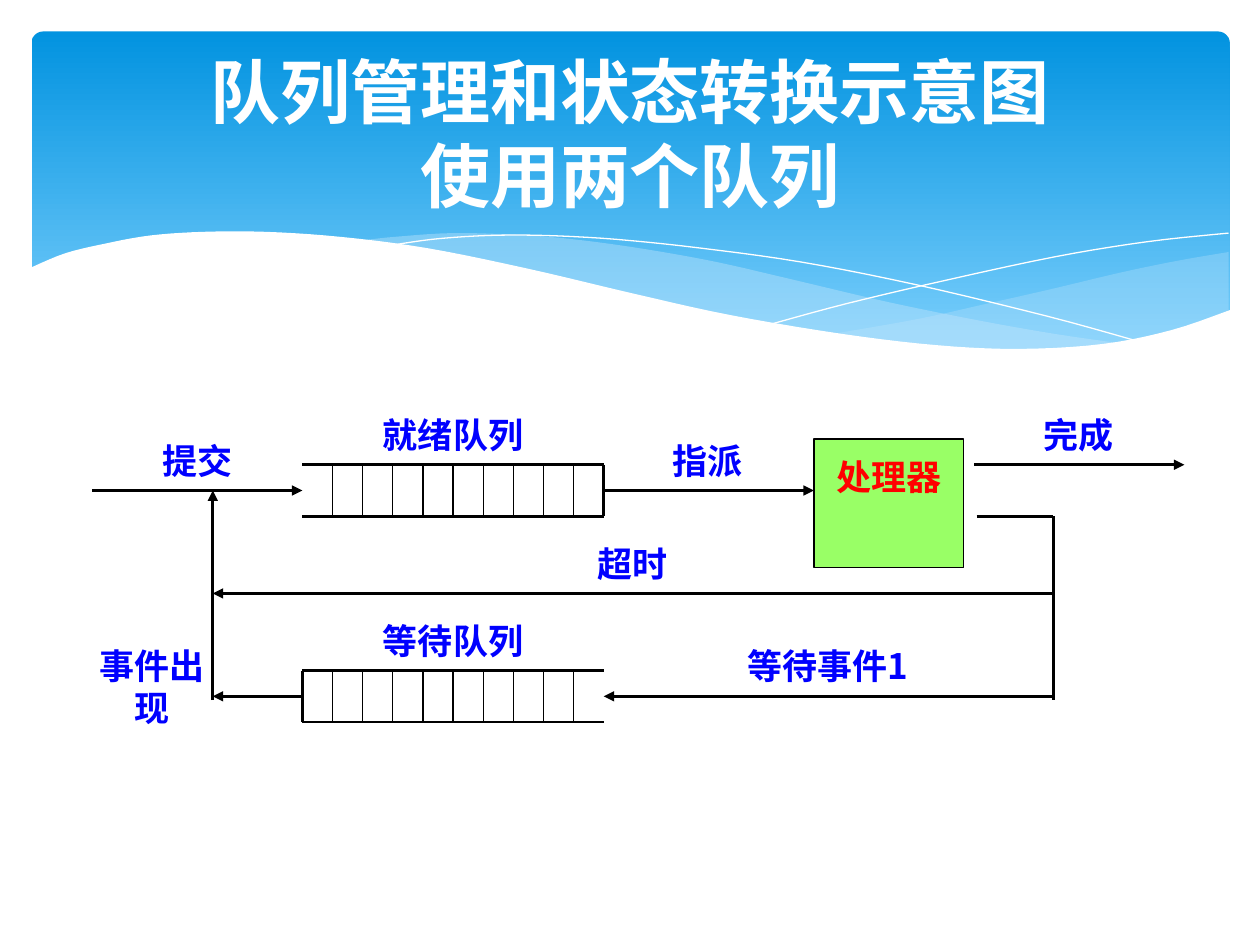
from pptx import Presentation
from pptx.dml.color import RGBColor
from pptx.enum.shapes import MSO_CONNECTOR, MSO_SHAPE
from pptx.enum.text import MSO_ANCHOR, PP_ALIGN
from pptx.oxml.ns import qn
from pptx.util import Pt
from lxml import etree

STRAIGHT = MSO_CONNECTOR.STRAIGHT
RECTANGLE, ROUNDED = MSO_SHAPE.RECTANGLE, MSO_SHAPE.ROUNDED_RECTANGLE
CENTER, MIDDLE, TOP = PP_ALIGN.CENTER, MSO_ANCHOR.MIDDLE, MSO_ANCHOR.TOP
COLORS = {
    "sky_top": "0293E0", "sky_bottom": "83D3FE", "mist": "C6E7FC",
    "white": "FFFFFF", "black": "000000", "label": "0000FF",
    "processor": "99FF66", "processor_text": "FF0000",
}
LABEL_FONT, TITLE_FONT = "Noto Sans CJK JP", "Calibri"
ROW = 14.7
CELLS = 10

RIGHT_MIST = [
    [(684, 126), (655, 131), (623.5, 137.5), (581, 147.6), (543, 156.2), (507, 164.2), (458, 172.8)],
    [(458, 172.8), (489.6, 177.1), (527, 180.7), (560, 182.2), (597, 180.7), (628, 176.4),
     (655, 170.6), (684, 159.8)],
]
CENTER_MIST = [
    [(625, 178.6), (584.6, 172.8), (540, 164.9), (490.3, 154.8), (435, 141.8), (391.7, 131.8),
     (352, 124.6), (316, 119.5), (284.4, 116.6), (242, 115.2), (207.4, 117.4), (188, 119.5)],
    [(188, 119.5), (228, 125.3), (273, 133.9), (305.3, 141.8), (363.6, 154.8), (414.7, 165.6),
     (460.8, 173.5), (501.8, 179.3), (547, 182.2), (585.4, 182.2), (625, 178.6)],
]
LEFT_ARC = [[(204.5, 122.4), (229, 118.8), (260.6, 116.6), (293.8, 116.6), (334, 118.8),
             (382.3, 123.8), (440, 131.8), (505.4, 144.7), (580.3, 162.7), (635, 177.8)]]
RIGHT_ARC = [[(423.4, 167), (465.8, 155.5), (520.6, 142.6), (584, 128.9), (637, 120.2), (684, 115.2)]]
WHITE_WAVE = [
    [(685.4, 159), (651.6, 170.6), (612, 178.6), (564.5, 181.4), (517.7, 179.3), (463, 172.8),
     (399, 162), (344, 149.8), (283, 135.4), (226, 123.8), (177, 117.4), (134, 114.5),
     (98, 114.5), (67.7, 116.6), (43.2, 121), (19.4, 126.7), (-1.4, 135.4)],
    [(-1.4, 219), (685.4, 219)],
]


def color(name):
    """Return the named colour."""
    return RGBColor.from_string(COLORS[name])


def smooth(knots, steps=5):
    """Return points on a Catmull-Rom curve through the knots."""
    if len(knots) < 3:
        return knots
    padded = [knots[0], *knots, knots[-1]]
    points = [knots[0]]
    for a, b, c, d in zip(padded, padded[1:], padded[2:], padded[3:]):
        for step in range(1, steps + 1):
            t = step / steps
            points.append(tuple(
                (2 * q + (r - p) * t + (2 * p - 5 * q + 4 * r - s) * t**2
                 + (3 * q - p - 3 * r + s) * t**3) / 2
                for p, q, r, s in zip(a, b, c, d)))
    return points


def add_curve(page, box, curves, fill=None, opacity=100):
    """Draw joined curves as a filled area, or as a white hairline without a fill."""
    left, top = box[:2]
    points = [(Pt(left + x), Pt(top + y)) for knots in curves for x, y in smooth(knots)]
    builder = page.shapes.build_freeform(*points[0])
    builder.add_line_segments(points[1:], close=fill is not None)
    shape = builder.convert_to_shape()
    shape.shadow.inherit = False
    if fill is None:
        shape.fill.background()
        shape.line.color.rgb = color("white")
        shape.line.width = Pt(0)
        return
    shape.fill.solid()
    shape.fill.fore_color.rgb = color(fill)
    shape.line.fill.background()
    if opacity < 100:
        tint = shape.fill._xPr.find(qn("a:solidFill"))[0]
        etree.SubElement(tint, qn("a:alpha")).set("val", str(opacity * 1000))


def add_header(page, box):
    """Draw the blue banner and its waves."""
    banner = page.shapes.add_shape(ROUNDED, *map(Pt, box))
    banner.adjustments[0] = 0.034
    banner.shadow.inherit = False
    banner.line.fill.background()
    banner.fill.gradient()
    banner.fill.gradient_angle = 270
    for stop, name, position in zip(banner.fill.gradient_stops, ("sky_top", "sky_bottom"), (0, 1)):
        stop.color.rgb = color(name)
        stop.position = position
    add_curve(page, box, RIGHT_MIST, "mist", 29)
    add_curve(page, box, CENTER_MIST, "mist", 40)
    add_curve(page, box, LEFT_ARC)
    add_curve(page, box, RIGHT_ARC)
    add_curve(page, box, WHITE_WAVE, "white")


def write(frame, text, font, size, name):
    """Write one centred bold paragraph."""
    frame.word_wrap = True
    frame.text = text
    para = frame.paragraphs[0]
    para.alignment = CENTER
    para.font.name = font
    para.font.size = Pt(size)
    para.font.bold = True
    para.font.color.rgb = color(name)


def set_title(page, box, text):
    """Place the title in front of the banner."""
    title = page.shapes.title
    title.left, title.top, title.width, title.height = map(Pt, box)
    write(title.text_frame, text, TITLE_FONT, 40, "white")
    title.text_frame.vertical_anchor = MIDDLE
    page.shapes._spTree.append(title._element)


def add_line(page, start, end, width=1.5, arrow=False):
    """Draw a black line, with an arrowhead at its end if asked."""
    line = page.shapes.add_connector(STRAIGHT, *map(Pt, (*start, *end)))
    line.line.color.rgb = color("black")
    line.line.width = Pt(width)
    if arrow:
        etree.SubElement(line.line._get_or_add_ln(), qn("a:tailEnd")).set("type", "triangle")
    etree.SubElement(line._element.spPr, qn("a:effectLst"))


def add_label(page, box, text):
    """Add a blue label without insets."""
    frame = page.shapes.add_textbox(*map(Pt, box)).text_frame
    frame.margin_left = frame.margin_right = frame.margin_top = frame.margin_bottom = 0
    write(frame, text, LABEL_FONT, 20, "label")


def add_queue(page, box, text, closed_right):
    """Draw a queue of cells, closed at one end, with its label above."""
    left, top, width, height = box
    right, bottom = left + width, top + height
    for y in (top, bottom):
        add_line(page, (left, y), (right, y))
    end = right if closed_right else left
    add_line(page, (end, top), (end, bottom))
    for cell in range(1, CELLS):
        x = left + cell * width / CELLS
        add_line(page, (x, top), (x, bottom), 0.75)
    add_label(page, (left, top - 2 * ROW, width, 2 * ROW), text)


def add_processor(page, box, text):
    """Draw the processor block."""
    block = page.shapes.add_shape(RECTANGLE, *map(Pt, box))
    block.shadow.inherit = False
    block.fill.solid()
    block.fill.fore_color.rgb = color("processor")
    block.line.color.rgb = color("black")
    block.line.width = Pt(0.75)
    frame = block.text_frame
    frame.margin_left = frame.margin_right = 0
    frame.margin_top, frame.margin_bottom = Pt(9.4), Pt(3.6)
    frame.vertical_anchor = TOP
    write(frame, text, LABEL_FONT, 20, "processor_text")


def add_diagram(page, box):
    """Draw the two queues, the processor and the transitions between them."""
    left, top = box[:2]

    def at(x, row):
        return left + x, top + row * ROW

    queue_left, queue_right, merge, back = 120.2, 292.4, 69, 549.3
    queue_size = (queue_right - queue_left, 2 * ROW)
    add_queue(page, (*at(queue_left, 2), *queue_size), "就绪队列", True)
    add_queue(page, (*at(queue_left, 10), *queue_size), "等待队列", False)
    add_processor(page, (*at(412.5, 1), 85.7, 5 * ROW), "处理器")

    arrows = [
        ((0, 3), (queue_left, 3)), ((queue_right, 3), (412.5, 3)), ((504, 2), (624.2, 2)),
        ((back, 7), (merge, 7)), ((back, 11), (queue_right, 11)),
        ((queue_left, 11), (merge, 11)), ((merge, 11.15), (merge, 3)),
    ]
    for start, end in arrows:
        add_line(page, at(*start), at(*end), arrow=True)
    add_line(page, at(505.4, 4), at(back, 4))
    add_line(page, at(back, 4), at(back, 11.15))

    labels = [
        ("提交", 24.4, 1, 72, 2), ("指派", 316, 1, 72, 2), ("完成", 527.7, 0, 72, 2),
        ("超时", 164.8, 5, 288, 2), ("等待事件1", 343.4, 9, 154, 2), ("事件出现", 0, 9, 68.4, 4),
    ]
    for text, x, row, width, rows in labels:
        add_label(page, (*at(x, row), width, rows * ROW), text)


def main():
    """Build and save the deck."""
    deck = Presentation()
    deck.slide_width, deck.slide_height = Pt(720), Pt(540)
    page = deck.slides.add_slide(deck.slide_layouts[5])
    add_header(page, (18, 18, 684.7, 194.4))
    add_diagram(page, (52.6, 236.2, 624.2, 176.4))
    set_title(page, (36, 26.6, 648, 98.6), "队列管理和状态转换示意图\v使用两个队列")
    deck.save("out.pptx")


if __name__ == "__main__":
    main()
